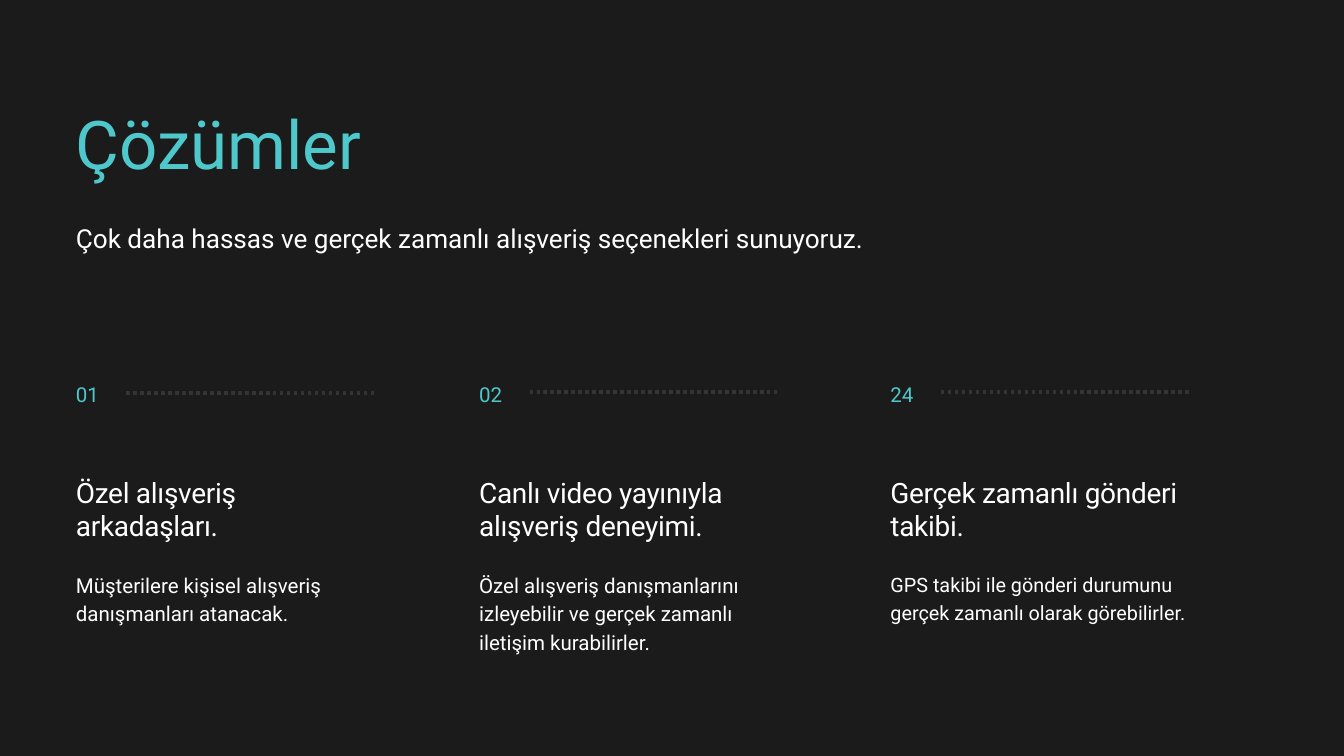
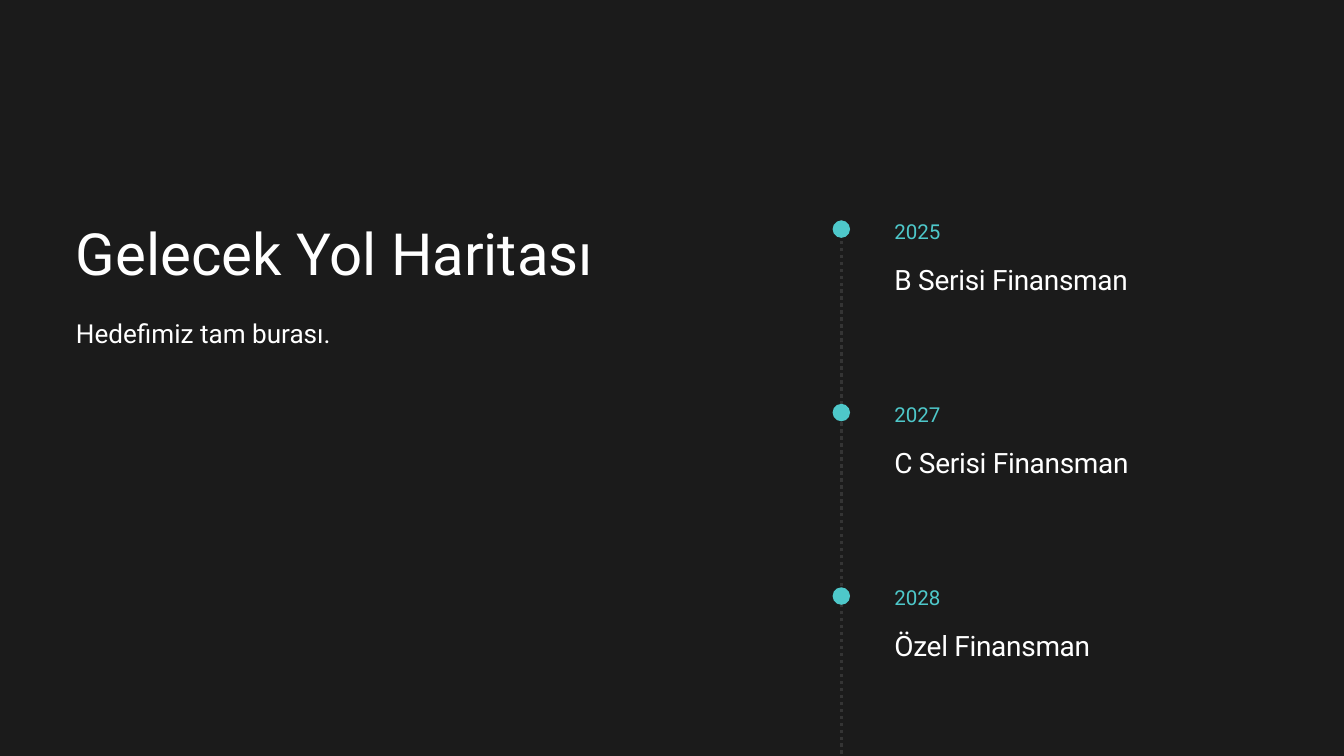
from typing import NamedTuple

import pptx
import pptx.dml.color
import pptx.enum.dml
import pptx.enum.shapes
import pptx.enum.text
import pptx.util
from lxml import etree
from pptx.util import Inches

# Shared look
DARK, TEAL, WHITE, GREY = "1B1B1B", "4EC8CA", "FFFFFF", "343434"
FONT = "Roboto"
LEFT = 1.13


class Style(NamedTuple):
    size: float
    line: float
    ink: str = WHITE
    track: float = 0


LEAD = Style(28, 39.2)
HEAD = Style(30, 36, track=-0.3)
BODY = Style(22, 30.8)
LABEL = Style(22, 30.8, TEAL)


class Column(NamedTuple):
    left: float
    number: str
    head: str
    body: str
    rule: float = 5.83
    top: float = 8.46
    height: float = 0.83
    style: Style = BODY


class Stop(NamedTuple):
    year: str
    goal: str


def color(code: str) -> pptx.dml.color.RGBColor:
    return pptx.dml.color.RGBColor.from_string(code)


def write(frame, text: str, style: Style) -> None:
    """Fill a text frame with one styled run."""
    frame.margin_left = frame.margin_right = 0
    frame.margin_top = frame.margin_bottom = 0
    frame.word_wrap = True
    frame.auto_size = pptx.enum.text.MSO_AUTO_SIZE.NONE
    frame.vertical_anchor = pptx.enum.text.MSO_ANCHOR.TOP
    para = frame.paragraphs[0]
    para.alignment = pptx.enum.text.PP_ALIGN.LEFT
    para.line_spacing = pptx.util.Pt(style.line)
    run = para.add_run()
    run.text = text
    run.font.name = FONT
    run.font.size = pptx.util.Pt(style.size)
    run.font.color.rgb = color(style.ink)
    if style.track:
        run.font._element.set("spc", str(round(style.track * 100)))


def add_text(slide, left: float, top: float, width: float, height: float,
             text: str, style: Style) -> None:
    box = slide.shapes.add_textbox(
        Inches(left), Inches(top), Inches(width), Inches(height))
    write(box.text_frame, text, style)


def add_dots(slide, x1: float, y1: float, x2: float, y2: float) -> None:
    """Draw a dotted line."""
    rule = slide.shapes.add_connector(
        pptx.enum.shapes.MSO_CONNECTOR.STRAIGHT,
        Inches(x1), Inches(y1), Inches(x2), Inches(y2))
    rule.line.color.rgb = color(GREY)
    rule.line.width = pptx.util.Pt(3.75)
    rule.line.dash_style = pptx.enum.dml.MSO_LINE.ROUND_DOT
    etree.SubElement(rule._element.spPr, pptx.oxml.ns.qn("a:effectLst"))


def add_slide(deck, title: str, top: float, width: float, height: float,
              style: Style):
    """Start a title-only slide and place its title."""
    slide = deck.slides.add_slide(deck.slide_layouts[5])
    shape = slide.shapes.title
    shape.left, shape.top = Inches(LEFT), Inches(top)
    shape.width, shape.height = Inches(width), Inches(height)
    write(shape.text_frame, title, style)
    return slide


def add_column(slide, col: Column) -> None:
    add_text(slide, col.left, 5.62, 0.75, 0.42, col.number, LABEL)
    start = col.left + 0.75
    add_dots(slide, start, col.rule, start + 3.73, col.rule)
    add_text(slide, col.left, 7.07, 4.48, 1.01, col.head, HEAD)
    add_text(slide, col.left, col.top, 4.48, col.height, col.body, col.style)


def add_stop(slide, axis: float, top: float, stop: Stop) -> None:
    """Put a dot on the axis, with its year and goal beside it."""
    size = 0.26
    dot = slide.shapes.add_shape(
        pptx.enum.shapes.MSO_SHAPE.OVAL, Inches(axis - size / 2),
        Inches(top), Inches(size), Inches(size))
    dot.shadow.inherit = False
    dot.fill.solid()
    dot.fill.fore_color.rgb = color(TEAL)
    dot.line.fill.background()
    add_text(slide, 13.31, top - 0.09, 4.64, 0.4, stop.year, LABEL)
    add_text(slide, 13.31, top + 0.62, 4.64, 0.51, stop.goal, HEAD)


def add_answers(deck) -> None:
    slide = add_slide(deck, "Çözümler", 1.52, 14.02, 1.21,
                      Style(72, 86.4, TEAL))
    add_text(slide, LEFT, 3.23, 12.47, 0.51,
             "Çok daha hassas ve gerçek zamanlı alışveriş seçenekleri "
             "sunuyoruz.", LEAD)
    columns = [
        Column(LEFT, "01", "Özel alışveriş arkadaşları.",
               "Müşterilere kişisel alışveriş danışmanları atanacak.",
               rule=5.85),
        Column(7.13, "02", "Canlı video yayınıyla alışveriş deneyimi.",
               "Özel alışveriş danışmanlarını izleyebilir ve gerçek zamanlı "
               "iletişim kurabilirler.", height=1.25),
        Column(13.25, "24", "Gerçek zamanlı gönderi takibi.",
               "GPS takibi ile gönderi durumunu gerçek zamanlı olarak "
               "görebilirler.", top=8.47, height=0.79,
               style=Style(21.2, 29.7)),
    ]
    for col in columns:
        add_column(slide, col)


def add_roadmap(deck) -> None:
    slide = add_slide(deck, "Gelecek Yol Haritası", 3.23, 7.91, 1.03,
                      Style(62.3, 74.7))
    add_text(slide, LEFT, 4.65, 7.2, 0.51, "Hedefimiz tam burası.", LEAD)
    axis = 12.52
    add_dots(slide, axis, 11.22, axis, 3.26)
    stops = [
        Stop("2025", "B Serisi Finansman"),
        Stop("2027", "C Serisi Finansman"),
        Stop("2028", "Özel Finansman"),
    ]
    for i, stop in enumerate(stops):
        add_stop(slide, axis, 3.28 + 2.73 * i, stop)


def main() -> None:
    deck = pptx.Presentation()
    deck.slide_width, deck.slide_height = Inches(20), Inches(11.25)
    back = deck.slide_master.background.fill
    back.solid()
    back.fore_color.rgb = color(DARK)
    add_answers(deck)
    add_roadmap(deck)
    deck.save("out.pptx")


if __name__ == "__main__":
    main()
